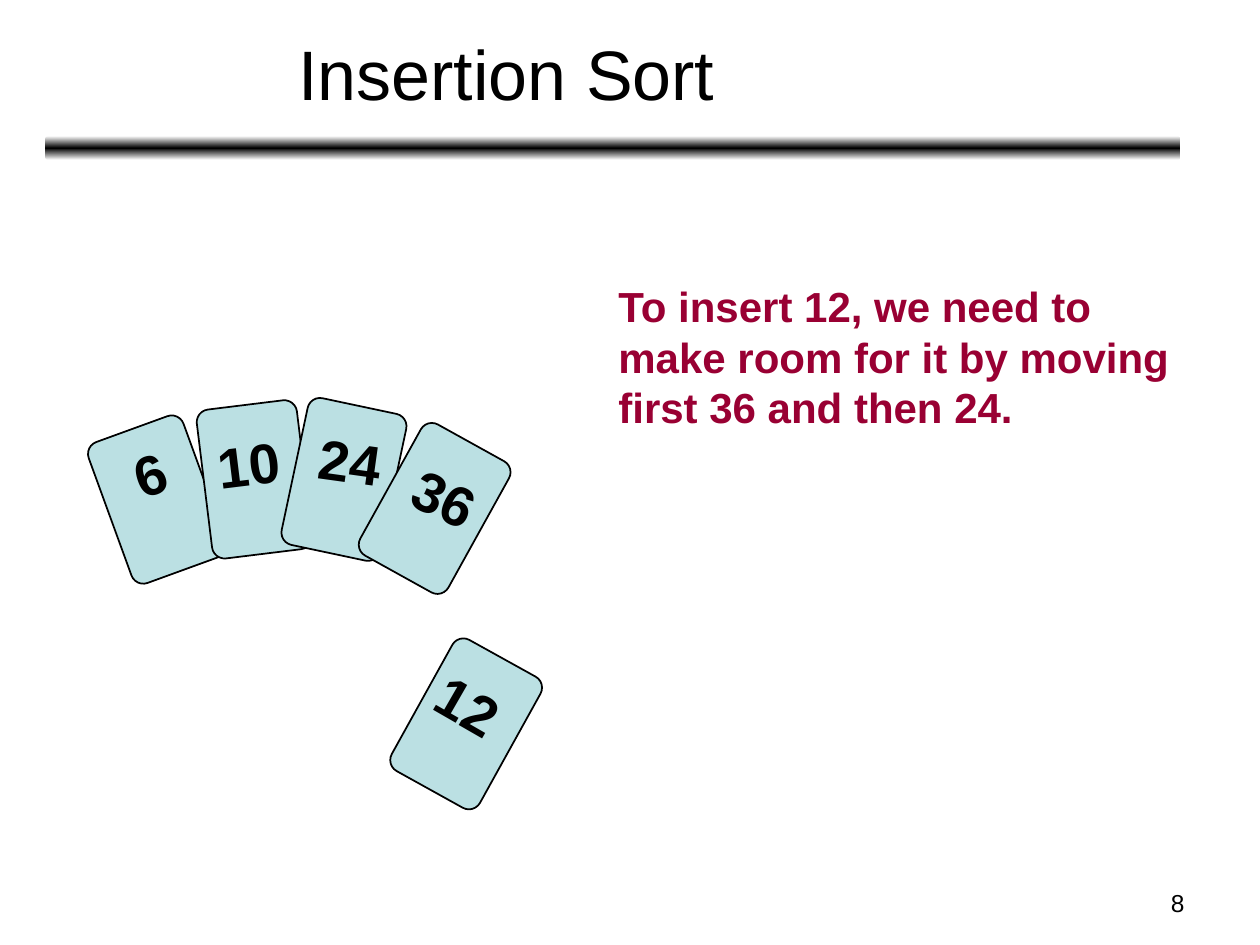
from copy import deepcopy
from pptx import Presentation
from pptx.dml.color import RGBColor
from pptx.enum.shapes import MSO_SHAPE
from pptx.enum.text import MSO_ANCHOR, MSO_AUTO_SIZE, PP_ALIGN
from pptx.util import Inches, Pt

TITLE = "Insertion Sort"
NOTE = "To insert 12, we need to make room for it by moving first 36 and then 24."
PAGE = "8"
CARD = (0.8, 1.19)
# number, card left, top and turn, label left, top, width and turn
CARDS = [
    ("6", (0.85, 3.37, 340), (0.97, 3.44, 0.45, 341)),
    ("10", (1.62, 3.21, 353), (1.63, 3.36, 0.7, 353)),
    ("24", (2.33, 3.21, 12), (2.44, 3.34, 0.7, 8)),
    ("12", (3.3, 5.15, 29), (3.37, 5.28, 0.7, 30)),
    ("36", (3.05, 3.44, 29), (3.19, 3.63, 0.7, 25)),
]


def color(code):
    return RGBColor.from_string(code)


def box(*at):
    return [Inches(n) for n in at]


def write(frame, text, size, code="000000", bold=False, align=PP_ALIGN.LEFT):
    para = frame.paragraphs[0]
    para.alignment = align
    run = para.add_run()
    run.text = text
    font = run.font
    font.name, font.size, font.bold = "Arial", Pt(size), bold
    font.color.rgb = color(code)


def label(slide, at, text, size, wrap=True, **style):
    shape = slide.shapes.add_textbox(*box(*at))
    shape.text_frame.word_wrap = wrap
    write(shape.text_frame, text, size, **style)
    return shape


def plate(slide, at, round_by):
    shape = slide.shapes.add_shape(MSO_SHAPE.ROUNDED_RECTANGLE, *box(*at))
    shape.shadow.inherit = False
    shape.adjustments[0] = round_by
    return shape


def rule(slide):
    bar = plate(slide, (0.36, 1.08, 9.01, 0.19), 0.167)
    bar.line.fill.background()
    bar.fill.gradient()
    bar.fill.gradient_angle = 90
    first = bar._element.spPr.xpath(".//a:gs")[0]
    first.addnext(deepcopy(first))
    tones = [(0, "FFFFFF"), (0.5, "000000"), (1, "FFFFFF")]
    for stop, (place, code) in zip(bar.fill.gradient_stops, tones):
        stop.position = place
        stop.color.rgb = color(code)


def head(slide):
    title = slide.shapes.title
    title.left, title.top, title.width, title.height = box(0.56, 0.68, 6.92, 0.28)
    frame = title.text_frame
    frame.auto_size = MSO_AUTO_SIZE.NONE
    frame.vertical_anchor = MSO_ANCHOR.BOTTOM
    write(frame, TITLE, 40, align=PP_ALIGN.CENTER)


def card(slide, text, place, mark):
    left, top, turn = place
    shape = plate(slide, (left, top, *CARD), 0.125)
    shape.rotation = turn
    shape.fill.solid()
    shape.fill.fore_color.rgb = color("BBE0E3")
    shape.line.color.rgb = color("000000")
    shape.line.width = Pt(1)
    left, top, width, turn = mark
    num = label(slide, (left, top, width, 0.63), text, 32, wrap=False, bold=True)
    num.rotation = turn


def main():
    """Build the insertion sort slide with its hand of cards."""
    deck = Presentation()
    deck.slide_width, deck.slide_height = box(10, 7.5)
    slide = deck.slides.add_slide(deck.slide_layouts[5])
    rule(slide)
    head(slide)
    label(slide, (7.17, 7, 2.33, 0.35), PAGE, 14, align=PP_ALIGN.RIGHT)
    label(slide, (4.81, 2.18, 4.66, 1.3), NOTE, 24, code="990033", bold=True)
    for item in CARDS:
        card(slide, *item)
    deck.save("out.pptx")


if __name__ == "__main__":
    main()
